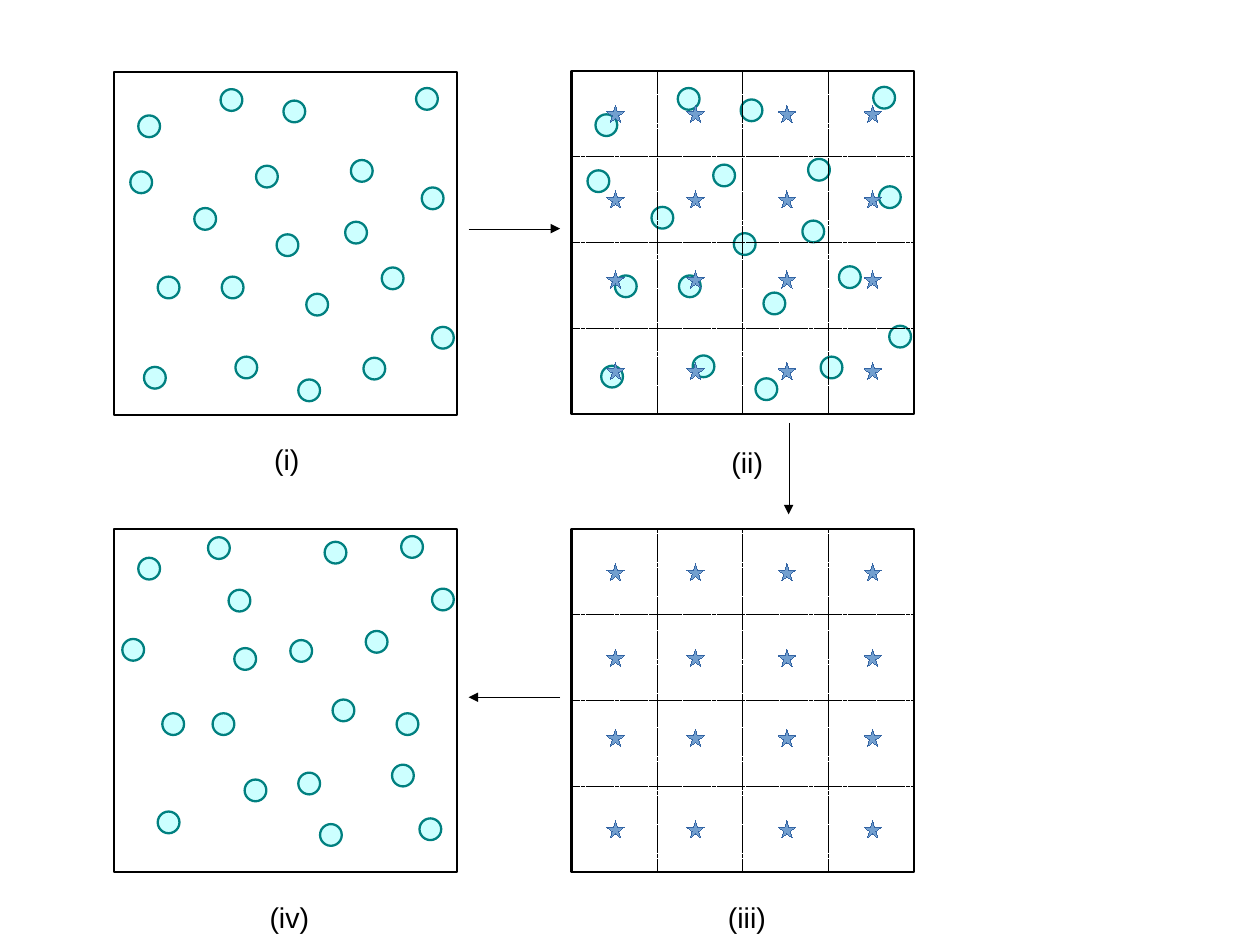
from itertools import product

from lxml import etree
from pptx import Presentation, util as u
from pptx.dml.color import RGBColor
from pptx.enum import dml, shapes, text
from pptx.oxml.ns import qn

UNIT = u.Inches(1)
PANEL = 3
CELLS = 4
CIRCLE = 0.19
STAR = 0.15
STAR_COLUMNS = (0.31, 1.01, 1.81, 2.56)
STAR_ROWS = (0.3, 1.05, 1.75, 2.55)
START_CIRCLES = (
    (1.42, 1.42), (1.06, 2.49), (2.18, 2.5), (0.26, 2.58), (0.94, 1.79),
    (0.93, 0.15), (1.68, 1.94), (2.02, 1.31), (1.61, 2.69), (2.69, 1.01),
    (0.7, 1.19), (1.48, 0.25), (0.21, 0.38), (2.07, 0.77), (2.64, 0.14),
    (1.24, 0.82), (0.38, 1.79), (0.14, 0.87), (2.78, 2.23), (2.34, 1.71),
)
END_CIRCLES = (
    (1.54, 0.97), (1.14, 2.19), (2.67, 2.53), (0.38, 2.47), (0.86, 1.61),
    (0.82, 0.07), (1.61, 2.13), (1.91, 1.49), (1.8, 2.58), (2.2, 0.89),
    (1.05, 1.04), (1.84, 0.11), (0.21, 0.25), (2.78, 0.52), (2.51, 0.06),
    (1, 0.53), (0.42, 1.61), (0.07, 0.96), (2.43, 2.06), (2.47, 1.61),
)


def grid(*lengths):
    return [round(length * UNIT) for length in lengths]


def color(value):
    return RGBColor.from_string(value)


def set_line(shape, value, width):
    shape.line.color.rgb = color(value)
    shape.line._get_or_add_ln().set("w", str(int(u.Pt(width))))


def add_outline(slide, kind, left, top, size, line, width, fill=None):
    shape = slide.shapes.add_shape(kind, *grid(left, top, size, size))
    shape.shadow.inherit = False
    if fill:
        shape.fill.solid()
        shape.fill.fore_color.rgb = color(fill)
    else:
        shape.fill.background()
    set_line(shape, line, width)
    return shape


def add_line(slide, start, end):
    line = slide.shapes.add_connector(shapes.MSO_CONNECTOR.STRAIGHT, *grid(*start, *end))
    set_line(line, "000000", 0)
    etree.SubElement(line._element.spPr, qn("a:effectLst"))
    return line


def add_arrow(slide, start, end):
    arrow = add_line(slide, start, end)
    etree.SubElement(arrow.line._get_or_add_ln(), qn("a:tailEnd"), type="triangle")


def add_panel(slide, left, top):
    return add_outline(slide, shapes.MSO_SHAPE.RECTANGLE, left, top, PANEL, "000000", 1.45)


def add_circles(slide, left, top, places):
    for column, row in places:
        add_outline(slide, shapes.MSO_SHAPE.OVAL, left + column, top + row, CIRCLE,
                    "008080", 1.45, "CCFFFF")


def add_cells(slide, panel, left, top):
    for index in range(1, CELLS):
        step = index * PANEL / CELLS
        upright = add_line(slide, (left + step, top), (left + step, top + PANEL))
        level = add_line(slide, (left, top + step), (left + PANEL, top + step))
        for line, begin_side, end_side in ((upright, 0, 2), (level, 1, 3)):
            line.line.dash_style = dml.MSO_LINE.SQUARE_DOT
            if index * 2 == CELLS:
                line.begin_connect(panel, begin_side)
                line.end_connect(panel, end_side)


def add_stars(slide, left, top):
    for column, row in product(STAR_COLUMNS, STAR_ROWS):
        add_outline(slide, shapes.MSO_SHAPE.STAR_5_POINT, left + column, top + row, STAR,
                    "3465A4", 0, "729FCF")


def add_label(slide, words, left, top, width):
    frame = slide.shapes.add_textbox(*grid(left, top, width, 0.38)).text_frame
    frame.word_wrap = False
    frame.auto_size = text.MSO_AUTO_SIZE.SHAPE_TO_FIT_TEXT
    run = frame.paragraphs[0].add_run()
    run.text = words
    run.font.name = "Arial"
    run.font.size = u.Pt(18)
    run.font.color.rgb = color("000000")


def main():
    presentation = Presentation()
    presentation.slide_width = u.Cm(28)
    presentation.slide_height = u.Cm(21)
    slide = presentation.slides.add_slide(presentation.slide_layouts[6])

    for left, top, circles, has_cells in (
        (1, 0.63, START_CIRCLES, False),
        (5, 0.62, START_CIRCLES, True),
        (5, 4.63, (), True),
        (1, 4.63, END_CIRCLES, False),
    ):
        panel = add_panel(slide, left, top)
        add_circles(slide, left, top, circles)
        if has_cells:
            add_cells(slide, panel, left, top)
            add_stars(slide, left, top)

    for label in (
        ("(i)", 2.3, 3.82, 0.42),
        ("(ii)", 6.3, 3.84, 0.48),
        ("(iii)", 6.27, 7.82, 0.54),
        ("(iv)", 2.26, 7.82, 0.56),
    ):
        add_label(slide, *label)

    add_arrow(slide, (4.1, 2), (4.9, 2))
    add_arrow(slide, (4.9, 6.1), (4.1, 6.1))
    add_arrow(slide, (6.9, 3.7), (6.9, 4.5))
    presentation.save("out.pptx")


if __name__ == "__main__":
    main()
